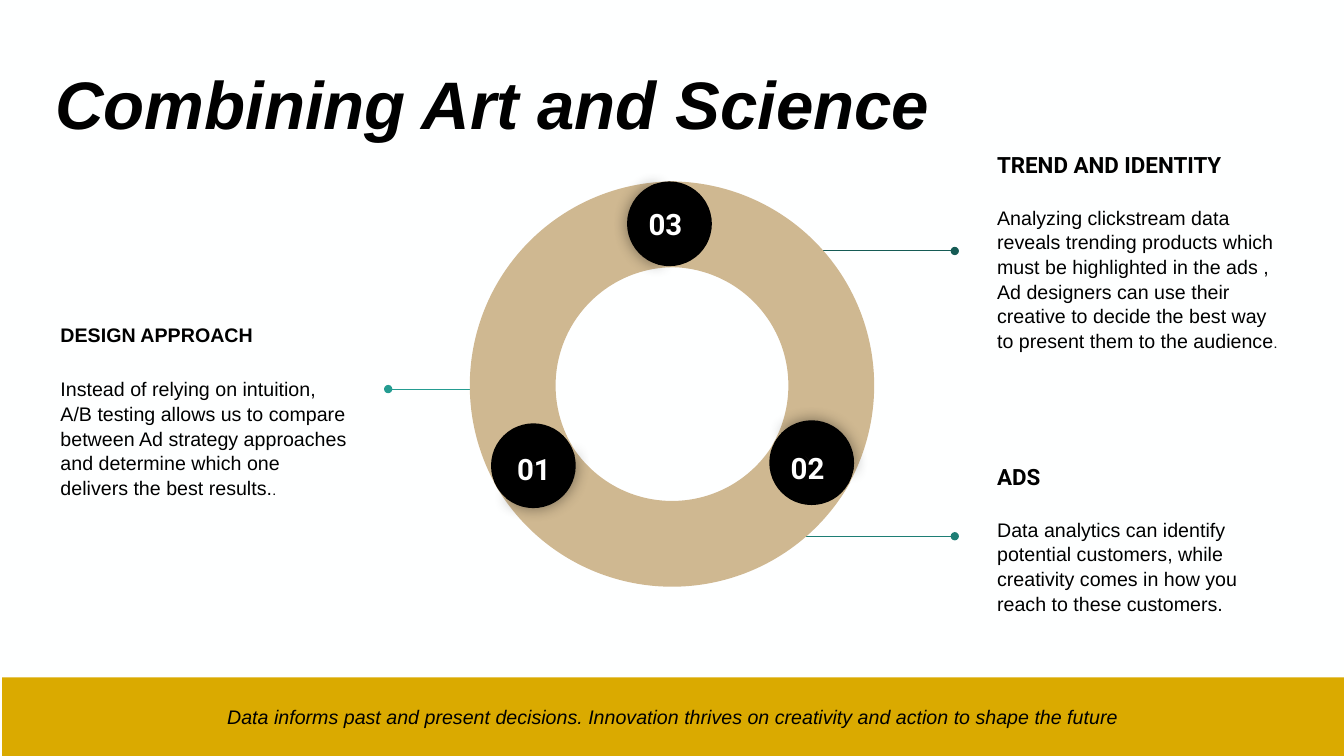
import pptx
import pptx.util
import pptx.dml.color
import pptx.enum.shapes
import pptx.enum.text
import pptx.oxml
import pptx.oxml.ns
from pptx.util import Inches

SHAPE = pptx.enum.shapes.MSO_SHAPE
ALIGN = pptx.enum.text.PP_ALIGN
ANCHOR = pptx.enum.text.MSO_ANCHOR
DRAWING = pptx.oxml.ns.nsdecls("a")


def color(hex_code):
    return pptx.dml.color.RGBColor.from_string(hex_code)


def write(shape, paragraphs, inset, anchor, align=ALIGN.LEFT, spacing=1.0):
    """Fill a shape with paragraphs, each a (space before, runs) pair."""
    frame = shape.text_frame
    frame_format = {"word_wrap": True, "vertical_anchor": anchor,
                    "margin_left": Inches(inset[0]), "margin_right": Inches(inset[0]),
                    "margin_top": Inches(inset[1]), "margin_bottom": Inches(inset[1])}
    for key, value in frame_format.items():
        setattr(frame, key, value)
    for index, (space_before, runs) in enumerate(paragraphs):
        paragraph = frame.add_paragraph() if index else frame.paragraphs[0]
        paragraph.alignment = align
        paragraph.line_spacing = spacing
        paragraph.space_before = pptx.util.Pt(space_before)
        for text, size, font_name, hex_code, bold, italic in runs:
            run = paragraph.add_run()
            run.text = text
            font_format = {"size": pptx.util.Pt(size), "name": font_name,
                           "bold": bold, "italic": italic}
            for key, value in font_format.items():
                setattr(run.font, key, value)
            run.font.color.rgb = color(hex_code)


presentation = pptx.Presentation()
presentation.slide_width = Inches(13.33)
presentation.slide_height = Inches(7.5)
slide = presentation.slides.add_slide(presentation.slide_layouts[6])
slide.background.fill.solid()
slide.background.fill.fore_color.rgb = color("FEFFFF")
shapes = slide.shapes

# Title
title = shapes.add_textbox(Inches(0.45), Inches(0.65), Inches(12.42), Inches(0.83))
write(title, [(0, [("Combining Art and Science", 48, "Arial", "000000", True, True)])],
      (0.1, 0.05), ANCHOR.MIDDLE, spacing=0.9)

# Topics: left, top, height, heading, heading size and font, gap, body, closing dot
topics = [
    (0.47, 2.9, 2.35, "DESIGN APPROACH", 14, "Arial", 21,
     "Instead of relying on intuition, A/B testing allows us to compare between Ad "
     "strategy approaches and determine which one delivers the best results.", "."),
    (9.76, 1.55, 1.88, "TREND AND IDENTITY", 16, "Roboto", 19,
     "Analyzing clickstream data reveals trending products which must be highlighted "
     "in the ads , Ad designers can use their creative to decide the best way to "
     "present them to the audience", "."),
    (9.76, 4.4, 1.88, "ADS", 16, "Roboto", 19,
     "Data analytics can identify potential customers, while creativity comes in how "
     "you reach to these customers.", ""),
]
for left, top, height, heading, size, font_name, gap, body, dot in topics:
    topic = shapes.add_textbox(Inches(left), Inches(top), Inches(3.1), Inches(height))
    body_runs = [(body, 14, "Arial", "000000", False, False)]
    if dot:
        body_runs.append((dot, 11, "Roboto", "000000", False, False))
    write(topic, [(0, [(heading, size, font_name, "000000", True, False)]),
                  (gap, body_runs)], (0.13, 0.13), ANCHOR.MIDDLE, spacing=1.05)

# Leader lines from the ring to the topics
for start, end, y, hex_code in [(4.78, 3.85, 3.86, "249C91"),
                                (7.6, 9.47, 2.49, "155B55"),
                                (7.6, 9.47, 5.32, "1D7E75")]:
    leader = shapes.add_connector(pptx.enum.shapes.MSO_CONNECTOR.STRAIGHT,
                                  Inches(start), Inches(y), Inches(end), Inches(y))
    leader.line.color.rgb = color(hex_code)
    leader.line.width = pptx.util.Pt(0.75)
    leader.line._get_or_add_ln().append(
        pptx.oxml.parse_xml(f'<a:tailEnd {DRAWING} type="oval"/>'))
    leader._element.spPr.append(pptx.oxml.parse_xml(f"<a:effectLst {DRAWING}/>"))

# Ring of three arcs and a disc of two halves per step, one half with a shadow
RING, DISC = 4.05, 0.84
arc_angles = (125.5, 198.5, 0.21)
parts = [(SHAPE.BLOCK_ARC, left, top, RING, turn, arc_angles, "CFB891", False)
         for left, top, turn in [(4.62, 1.8, 60), (4.64, 1.77, 180), (4.66, 1.8, 300)]]
for left, top, turn in [(4.87, 4.2, 240), (6.22, 1.8, 0), (7.63, 4.17, 120)]:
    parts.append((SHAPE.PIE, left, top, DISC, turn + 0.7, (61.9, 149.96), "000000", True))
    parts.append((SHAPE.PIE, left, top, DISC, (turn + 180) % 360, (40.28, 171.84),
                  "000000", False))
for kind, left, top, size, turn, angles, hex_code, shadowed in parts:
    part = shapes.add_shape(kind, Inches(left), Inches(top), Inches(size), Inches(size))
    part.rotation = turn
    for index, angle in enumerate(angles):
        part.adjustments[index] = angle
    part.fill.solid()
    part.fill.fore_color.rgb = color(hex_code)
    part.line.fill.background()
    part.shadow.inherit = False
    if shadowed:
        effects = part._element.spPr.find(pptx.oxml.ns.qn("a:effectLst"))
        effects.append(pptx.oxml.parse_xml(
            f'<a:outerShdw {DRAWING} blurRad="{pptx.util.Pt(11.2)}" dist="0" dir="0">'
            '<a:srgbClr val="000000"><a:alpha val="43000"/></a:srgbClr></a:outerShdw>'))

# Step numbers
for number, left, top, width in [("03", 6.2, 1.91, 0.8), ("01", 4.99, 4.35, 0.61),
                                 ("02", 7.64, 4.34, 0.74)]:
    step = shapes.add_textbox(Inches(left), Inches(top), Inches(width), Inches(0.48))
    write(step, [(0, [(number, 21, "Roboto", "FFFFFF", True, False)])],
          (0, 0.13), ANCHOR.TOP, ALIGN.CENTER)

# Closing banner
banner = shapes.add_shape(SHAPE.RECTANGLE, Inches(0.02), Inches(6.72),
                          Inches(13.31), Inches(0.78))
banner.fill.solid()
banner.fill.fore_color.rgb = color("DAAA00")
banner.line.fill.background()
banner.shadow.inherit = False
write(banner, [(0, [("Data informs past and present decisions. Innovation thrives on "
                     "creativity and action to shape the future",
                     14, "Arial", "000000", False, True)])],
      (0.1, 0.1), ANCHOR.MIDDLE, ALIGN.CENTER)

presentation.save("out.pptx")
